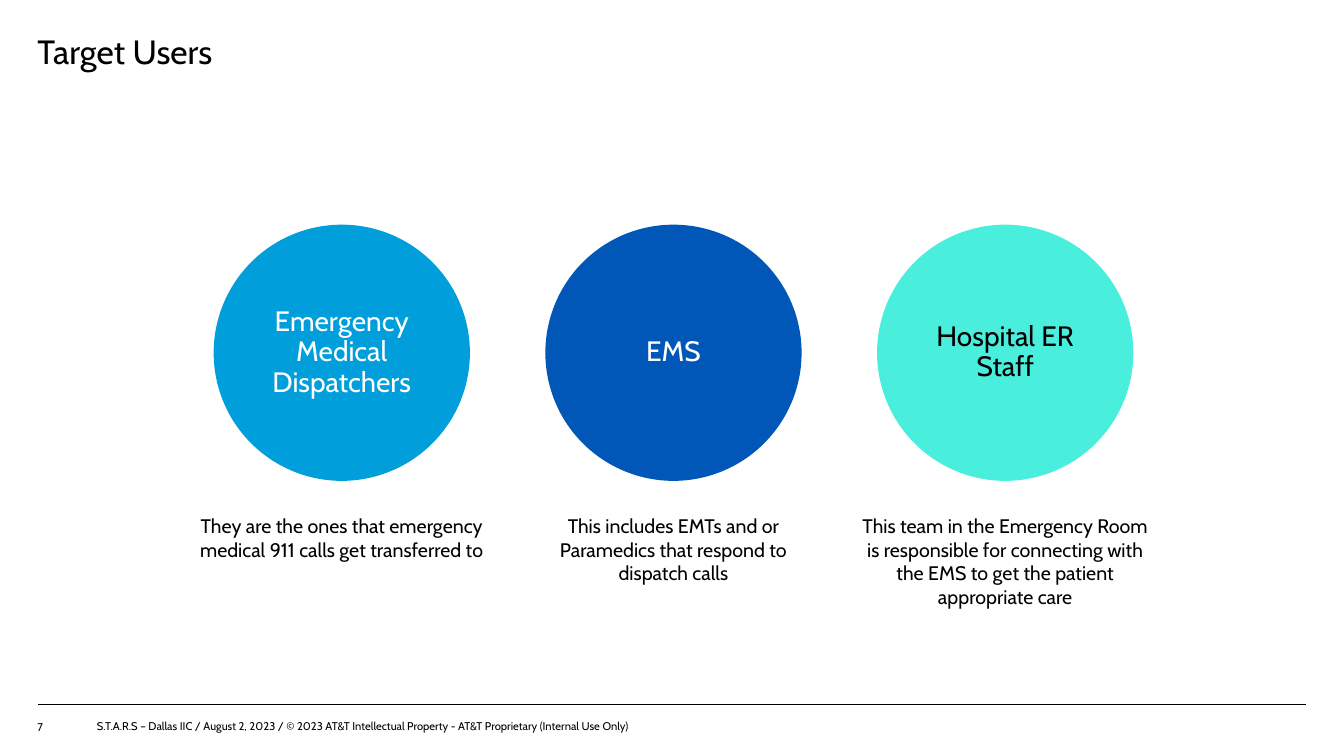
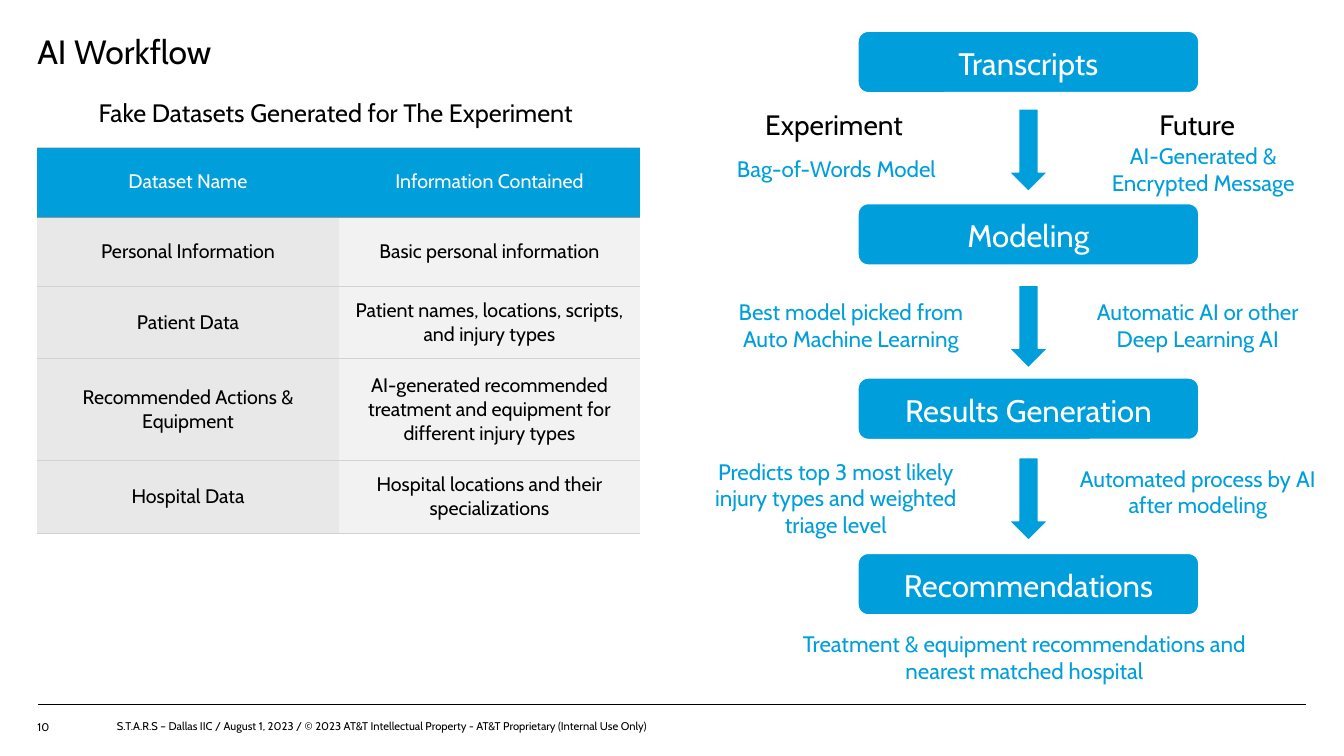
from lxml import etree
from pptx import Presentation
from pptx.dml.color import RGBColor
from pptx.enum.shapes import MSO_CONNECTOR, MSO_SHAPE
from pptx.enum.text import MSO_ANCHOR, MSO_AUTO_SIZE, PP_ALIGN
from pptx.oxml.ns import qn
from pptx.util import Inches, Pt

LEFT, CENTER = PP_ALIGN.LEFT, PP_ALIGN.CENTER
TOP, MIDDLE = MSO_ANCHOR.TOP, MSO_ANCHOR.MIDDLE
NO_AUTO_SIZE = MSO_AUTO_SIZE.NONE
STRAIGHT = MSO_CONNECTOR.STRAIGHT
ELLIPSE, ROUNDED, DOWN_ARROW = MSO_SHAPE.OVAL, MSO_SHAPE.ROUNDED_RECTANGLE, MSO_SHAPE.DOWN_ARROW

FONT = "Cabin"
BLACK, WHITE = "000000", "FFFFFF"
SKY, COBALT, AQUA = "009FDB", "0057B8", "49EEDC"
NAME_FILL, INFO_FILL = "E8E8E8", "F2F2F2"
HEADER_RULE, ROW_RULE = "959595", "D2D2D2"

TITLE_ONLY = 5
MARGIN = 0.37

FOOTER = "S.T.A.R.S – Dallas IIC / {} / © 2023 AT&T Intellectual Property - AT&T Proprietary (Internal Use Only)"

USERS = [
    ("Emergency Medical Dispatchers", SKY, WHITE,
     "They are the ones that emergency medical 911 calls get transferred to"),
    ("EMS", COBALT, WHITE,
     "This includes EMTs and or Paramedics that respond to dispatch calls"),
    ("Hospital ER Staff", AQUA, BLACK,
     "This team in the Emergency Room is responsible for connecting with the EMS "
     "to get the patient appropriate care"),
]
CIRCLE_SIZE, CIRCLE_TOP = 2.5, 2.25
FIRST_CENTER, CENTER_PITCH = 3.39, 3.29
CAPTION_WIDTH, CAPTION_TOP = 2.96, 5.1

DATASETS = [
    ("Dataset Name", "Information Contained"),
    ("Personal Information", "Basic personal information"),
    ("Patient Data", "Patient names, locations, scripts, and injury types"),
    ("Recommended Actions & Equipment",
     "AI-generated recommended treatment and equipment for different injury types"),
    ("Hospital Data", "Hospital locations and their specializations"),
]
ROW_HEIGHTS = [0.69, 0.69, 0.72, 1.01, 0.72]
COLUMN_WIDTH = 2.99

STEPS = [
    ("Transcripts", 0.31),
    ("Modeling", 2.02),
    ("Results Generation", 3.75),
    ("Recommendations", 5.49),
]
STEP_WIDTH, STEP_HEIGHT = 3.38, 0.61
ARROW_WIDTH, ARROW_HEIGHT = 0.39, 0.82
ARROW_TOPS = [1.08, 2.83, 4.54]
FLOW_CENTER = 10.2

HEADINGS = [
    ("Fake Datasets Generated for The Experiment", 0.58, 0.97, 5.5, 0.37, 18, CENTER),
    ("Experiment", 7.59, 1.07, 1.6, 0.34, 20, LEFT),
    ("Future", 11.5, 1.07, 0.88, 0.34, 20, LEFT),
]
STEP_NOTES = [
    ("Bag-of-Words Model", 7.31, 1.54, 2.14, 0.27, LEFT),
    ("AI-Generated & Encrypted Message", 10.87, 1.41, 2.13, 0.54, CENTER),
    ("Best model picked from Auto Machine Learning", 7.22, 2.96, 2.44, 0.54, CENTER),
    ("Automatic AI or other Deep Learning AI", 10.66, 2.96, 2.44, 0.54, CENTER),
    ("Predicts top 3 most likely injury types and weighted triage level",
     7.07, 4.54, 2.44, 0.81, CENTER),
    ("Automated process by AI after modeling", 10.66, 4.61, 2.44, 0.54, CENTER),
    ("Treatment & equipment recommendations and nearest matched hospital",
     7.89, 6.25, 4.54, 0.54, CENTER),
]


def color(value):
    return RGBColor.from_string(value)


def box(left, top, width, height):
    return Inches(left), Inches(top), Inches(width), Inches(height)


def write(frame, text, size=14, ink=BLACK, align=LEFT, anchor=TOP, inset=0, spacing=None):
    frame.word_wrap = True
    frame.auto_size = NO_AUTO_SIZE
    frame.vertical_anchor = anchor
    frame.margin_left = frame.margin_right = Inches(inset)
    frame.margin_top = frame.margin_bottom = Inches(inset)
    format_paragraph(frame.paragraphs[0], text, size, ink, align, spacing)


def format_paragraph(paragraph, text, size, ink, align, spacing=None):
    paragraph.text = text
    paragraph.alignment = align
    if spacing:
        paragraph.line_spacing = spacing
    font = paragraph.runs[0].font
    font.name, font.size = FONT, Pt(size)
    font.color.rgb = color(ink)


def add_text(slide, text, area, **style):
    write(slide.shapes.add_textbox(*box(*area)).text_frame, text, **style)


def add_filled(slide, kind, area, fill, line, line_width):
    shape = slide.shapes.add_shape(kind, *box(*area))
    shape.shadow.inherit = False
    shape.fill.solid()
    shape.fill.fore_color.rgb = color(fill)
    shape.line.color.rgb = color(line)
    shape.line.width = Pt(line_width)
    return shape


def add_slide(presentation, title, number, date, footer_left):
    slide = presentation.slides.add_slide(presentation.slide_layouts[TITLE_ONLY])
    placeholder = slide.shapes.title
    placeholder.left, placeholder.top, placeholder.width, placeholder.height = box(
        MARGIN, 0.31, 12.83, 0.51)
    write(placeholder.text_frame, title, size=24)
    rule = slide.shapes.add_connector(
        STRAIGHT, Inches(0.38), Inches(6.99), Inches(12.95), Inches(6.99))
    rule.line.color.rgb = color(BLACK)
    rule.line.width = Pt(0.5)
    etree.SubElement(rule.element.spPr, qn("a:effectLst"))
    add_text(slide, number, (MARGIN, 7.1, 0.55, 0.21), size=8, anchor=MIDDLE, spacing=Pt(10))
    add_text(slide, FOOTER.format(date), (footer_left, 7.1, 6.09, 0.21), size=8, anchor=MIDDLE)
    return slide


def set_border(cell, side, value=None, width=0):
    properties = cell._tc.get_or_add_tcPr()
    line = etree.SubElement(properties, qn("a:ln" + side), w=str(int(Pt(width))))
    if value is None:
        etree.SubElement(line, qn("a:noFill"))
    else:
        fill = etree.SubElement(line, qn("a:solidFill"))
        etree.SubElement(fill, qn("a:srgbClr"), val=value)


def add_dataset_table(slide):
    area = box(MARGIN, 1.46, 2 * COLUMN_WIDTH, sum(ROW_HEIGHTS))
    table = slide.shapes.add_table(len(DATASETS), 2, *area).table
    for column in table.columns:
        column.width = Inches(COLUMN_WIDTH)
    header_rule, row_rule = (HEADER_RULE, 0.25), (ROW_RULE, 0.5)
    for row, texts in enumerate(DATASETS):
        table.rows[row].height = Inches(ROW_HEIGHTS[row])
        fills = (NAME_FILL, INFO_FILL) if row else (SKY, SKY)
        for column, text in enumerate(texts):
            cell = table.cell(row, column)
            set_border(cell, "L")
            set_border(cell, "R")
            set_border(cell, "T", *(header_rule if row == 1 else row_rule))
            set_border(cell, "B", *(row_rule if row else header_rule))
            cell.fill.solid()
            cell.fill.fore_color.rgb = color(fills[column])
            cell.vertical_anchor = MIDDLE
            paragraph = cell.text_frame.paragraphs[0]
            format_paragraph(paragraph, text, 14, BLACK if row else WHITE, CENTER)
            paragraph.font.bold = False
            paragraph.runs[0].font.bold = False


def build_target_users(presentation):
    slide = add_slide(presentation, "Target Users", "7", "August 2, 2023", 0.96)
    for index, (name, fill, ink, caption) in enumerate(USERS):
        center = FIRST_CENTER + index * CENTER_PITCH
        circle = add_filled(
            slide, ELLIPSE, (center - CIRCLE_SIZE / 2, CIRCLE_TOP, CIRCLE_SIZE, CIRCLE_SIZE),
            fill, fill, 3)
        write(circle.text_frame, name, size=20, ink=ink, align=CENTER, anchor=MIDDLE,
              inset=0.1, spacing=0.9)
        add_text(slide, caption, (center - CAPTION_WIDTH / 2, CAPTION_TOP, CAPTION_WIDTH, 1.64),
                 align=CENTER)


def build_workflow(presentation):
    slide = add_slide(presentation, "AI Workflow", "10", "August 1, 2023", 1.16)
    add_dataset_table(slide)
    for text, left, top, width, height, size, align in HEADINGS:
        add_text(slide, text, (left, top, width, height), size=size, align=align)
    for name, top in STEPS:
        step = add_filled(
            slide, ROUNDED, (FLOW_CENTER - STEP_WIDTH / 2, top, STEP_WIDTH, STEP_HEIGHT),
            SKY, WHITE, 1)
        write(step.text_frame, name, size=22.2, ink=WHITE, align=CENTER, inset=0.1)
    for top in ARROW_TOPS:
        add_filled(
            slide, DOWN_ARROW, (FLOW_CENTER - ARROW_WIDTH / 2, top, ARROW_WIDTH, ARROW_HEIGHT),
            SKY, WHITE, 1)
    for text, left, top, width, height, align in STEP_NOTES:
        add_text(slide, text, (left, top, width, height), size=16, ink=SKY, align=align)


def main():
    presentation = Presentation()
    presentation.slide_width, presentation.slide_height = Inches(13.33), Inches(7.5)
    build_target_users(presentation)
    build_workflow(presentation)
    presentation.save("out.pptx")


if __name__ == "__main__":
    main()
